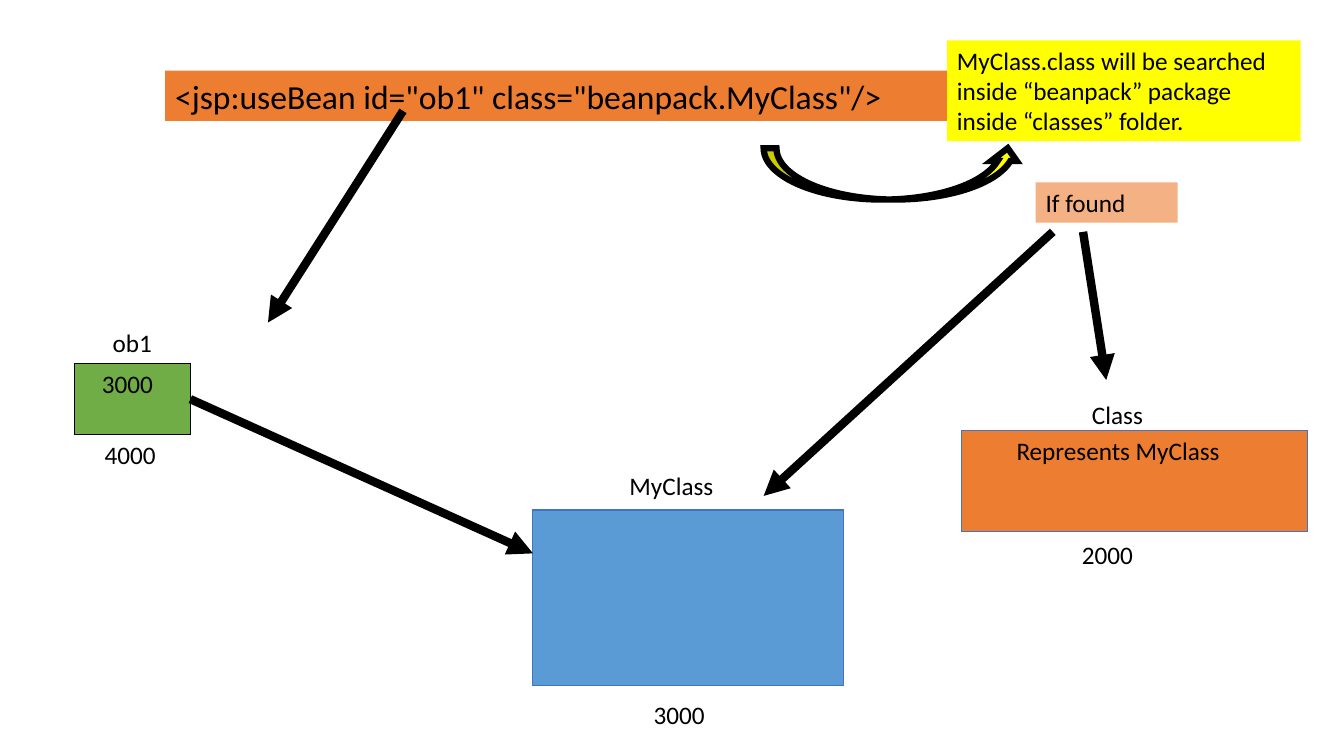
from dataclasses import dataclass

from lxml.etree import SubElement
from pptx import Presentation
from pptx.dml.color import RGBColor
from pptx.enum.shapes import MSO_CONNECTOR, MSO_SHAPE
from pptx.enum.text import MSO_ANCHOR, PP_ALIGN
from pptx.oxml.ns import qn
from pptx.util import Inches, Pt


@dataclass(frozen=True)
class Theme:
    font: str = "Calibri"
    body_size: float = 18
    code_size: float = 24
    edge_width: float = 0.75
    curve_width: float = 4.5
    arrow_width: float = 6
    black: str = "000000"
    orange: str = "ED7D31"
    peach: str = "F4B183"
    yellow: str = "FFFF00"
    green: str = "70AD47"
    blue: str = "5B9BD5"
    edge_blue: str = "4472C4"


THEME = Theme()


def color(value):
    return RGBColor.from_string(value)


def write_text(shape, text, size=THEME.body_size, indent=0):
    """Write one left-aligned paragraph at the top of a shape."""
    frame = shape.text_frame
    frame.word_wrap = True
    frame.vertical_anchor = MSO_ANCHOR.TOP
    frame.margin_left = Inches(0.1 + indent)
    para = frame.paragraphs[0]
    para.text = text
    para.alignment = PP_ALIGN.LEFT
    para.font.name = THEME.font
    para.font.size = Pt(size)
    para.font.color.rgb = color(THEME.black)


def add_filled(page, box, fill, edge=None, width=THEME.edge_width, kind=MSO_SHAPE.RECTANGLE):
    shape = page.shapes.add_shape(kind, *map(Inches, box))
    shape.shadow.inherit = False
    shape.fill.solid()
    shape.fill.fore_color.rgb = color(fill)
    if edge:
        shape.line.color.rgb = color(edge)
        shape.line.width = Pt(width)
        SubElement(shape.line._get_or_add_ln(), qn("a:miter"), lim="800000")
    else:
        shape.line.fill.background()
    return shape


def add_label(page, box, text):
    write_text(page.shapes.add_textbox(*map(Inches, box)), text)


def add_arrow(page, start, end):
    arrow = page.shapes.add_connector(MSO_CONNECTOR.STRAIGHT, *map(Inches, start + end))
    arrow.line.color.rgb = color(THEME.black)
    arrow.line.width = Pt(THEME.arrow_width)
    SubElement(arrow.line._get_or_add_ln(), qn("a:tailEnd"), type="triangle")
    SubElement(arrow._element.spPr, qn("a:effectLst"))


def add_statement(page, box):
    """Place the bean tag, the note on its lookup and the curved arrow between them."""
    left, top, width, height = box
    code_width = 7.76
    code = add_filled(page, (left, top + 0.3, code_width, 0.5), THEME.orange)
    write_text(code, '<jsp:useBean id="ob1" class="beanpack.MyClass"/>', THEME.code_size)
    note = add_filled(page, (left + code_width, top, width - code_width, height), THEME.yellow)
    write_text(note, "MyClass.class will be searched inside “beanpack” package inside “classes” folder.")
    add_filled(page, (left + 5.94, top + height + 0.07, 2.55, 0.51), THEME.yellow,
               THEME.black, THEME.curve_width, MSO_SHAPE.CURVED_UP_ARROW)


def add_condition(page, box):
    write_text(add_filled(page, box, THEME.peach), "If found")


def add_memory(page, box, fill, edge, name, name_box, address, address_box, value="", indent=0):
    """Place a memory block; name_box and address_box are x, y, width from its top left and bottom left."""
    left, top, _, height = box
    block = add_filled(page, box, fill, edge)
    if value:
        write_text(block, value, indent=indent)
    for text, (x, y, width), base in ((name, name_box, top), (address, address_box, top + height)):
        add_label(page, (left + x, base + y, width, 0.4), text)


def add_flow(page):
    for start, end in (
        ((10.75, 2.3), (10.98, 3.77)),
        ((10.45, 2.3), (7.58, 4.92)),
        ((4, 1.1), (2.66, 3.2)),
        ((1.89, 3.96), (5.29, 5.49)),
    ):
        add_arrow(page, start, end)


def main():
    deck = Presentation()
    deck.slide_width, deck.slide_height = Inches(13.34), Inches(7.5)
    page = deck.slides.add_slide(deck.slide_layouts[6])
    add_statement(page, (1.64, 0.4, 11.27, 1))
    add_condition(page, (10.28, 1.81, 1.41, 0.4))
    add_memory(page, (9.54, 4.27, 3.44, 1), THEME.orange, THEME.edge_blue,
               "Class", (1.2, -0.36, 0.83), "2000", (1.1, 0.03, 0.95), "Represents MyClass", 0.45)
    add_memory(page, (5.29, 5.06, 3.08, 1.74), THEME.blue, THEME.edge_blue,
               "MyClass", (0.86, -0.44, 1.43), "3000", (1.1, 0.09, 0.95))
    add_memory(page, (0.74, 3.61, 1.15, 0.7), THEME.green, THEME.black,
               "ob1", (0.28, -0.41, 0.59), "4000", (0.2, 0, 0.95), "3000", 0.17)
    add_flow(page)
    deck.save("out.pptx")


if __name__ == "__main__":
    main()
